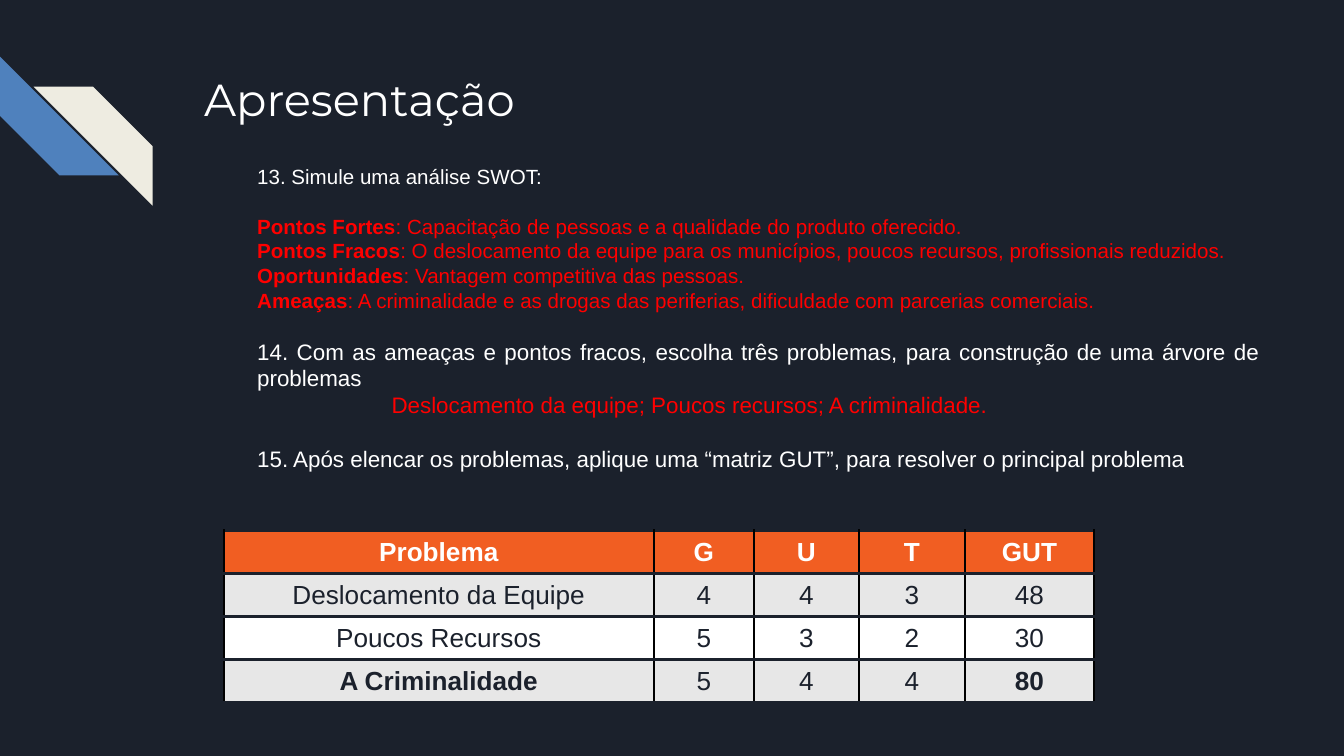
from dataclasses import dataclass

from pptx import Presentation
from pptx.dml.color import RGBColor
from pptx.enum.shapes import MSO_SHAPE
from pptx.enum.text import MSO_ANCHOR, PP_ALIGN
from pptx.oxml import parse_xml
from pptx.oxml.ns import nsdecls
from pptx.util import Inches, Pt


@dataclass(frozen=True)
class Theme:
    """Colours, fonts and type sizes."""
    dark: str = "1B212C"
    white: str = "FFFFFF"
    red: str = "FF0000"
    blue: str = "4F81BD"
    cream: str = "EEECE1"
    orange: str = "F15E22"
    grey: str = "E7E7E7"
    black: str = "000000"
    head: str = "Montserrat"
    body: str = "Arial"
    title: int = 24
    small: int = 11
    text: int = 12
    cell: int = 14


T = Theme()
WIDE = Inches(10)
HIGH = WIDE * 9 // 16
UNIT = WIDE / 100
JUST = PP_ALIGN.JUSTIFY


@dataclass(frozen=True)
class Box:
    """A place in grid columns and rows, each a hundredth of the slide width."""
    x: float
    y: float
    w: float
    h: float

    def lengths(self) -> list[int]:
        """Return left, top, width and height."""
        return [int(UNIT * v) for v in (self.x, self.y, self.w, self.h)]


@dataclass(frozen=True)
class Stripe:
    """A slanted band in the corner."""
    box: Box
    turn: int
    color: str


@dataclass(frozen=True)
class Line:
    """A body paragraph with an optional bold lead."""
    text: str
    lead: str = ""
    size: int = T.small
    color: str = T.white
    gap: float = 0
    left: float = 10
    align: PP_ALIGN = PP_ALIGN.LEFT


STRIPES = [
    Stripe(Box(0, 4.2, 8.85, 8.85), 270, T.blue),
    Stripe(Box(2.5, 6.45, 8.85, 8.85), 90, T.cream),
]
LINES = [
    Line("13. Simule uma análise SWOT:"),
    Line(": Capacitação de pessoas e a qualidade do produto oferecido.",
         "Pontos Fortes", color=T.red, gap=13.4),
    Line(": O deslocamento da equipe para os municípios, poucos recursos, "
         "profissionais reduzidos.", "Pontos Fracos", color=T.red),
    Line(": Vantagem competitiva das pessoas.", "Oportunidades", color=T.red),
    Line(": A criminalidade e as drogas das periferias, dificuldade com "
         "parcerias comerciais.", "Ameaças", color=T.red),
    Line("14. Com as ameaças e pontos fracos, escolha três problemas, para "
         "construção de uma árvore de problemas", size=T.text, gap=13.6, align=JUST),
    Line("Deslocamento da equipe; Poucos recursos; A criminalidade.",
         size=T.text, color=T.red, left=20, align=JUST),
    Line("15. Após elencar os problemas, aplique uma “matriz GUT”, para "
         "resolver o principal problema", size=T.text, gap=14.4, align=JUST),
]
COLS = [32, 7.45, 7.8, 7.9, 9.6]
ROWS = [
    ["Problema", "G", "U", "T", "GUT"],
    ["Deslocamento da Equipe", "4", "4", "3", "48"],
    ["Poucos Recursos", "5", "3", "2", "30"],
    ["A Criminalidade", "5", "4", "4", "80"],
]
FILLS = [T.orange, T.grey, T.white, T.grey]
BOLD = {"A Criminalidade", "80"}


def paint(fill, color: str) -> None:
    """Give a fill one solid colour."""
    fill.solid()
    fill.fore_color.rgb = RGBColor.from_string(color)


def write(par, text: str, *, size: float, color: str, font: str = T.body,
          bold: bool = False) -> None:
    """Add a formatted run to a paragraph."""
    run = par.add_run()
    run.text = text
    run.font.name, run.font.size, run.font.bold = font, Pt(size), bold
    run.font.color.rgb = RGBColor.from_string(color)


def frame(slide, box: Box):
    """Add a wrapping text box and return its text frame."""
    area = slide.shapes.add_textbox(*box.lengths()).text_frame
    area.word_wrap = True
    area.margin_left = area.margin_right = Inches(0.1)
    area.margin_top = area.margin_bottom = Inches(0.1)
    return area


def band(slide, item: Stripe) -> None:
    """Draw one slanted band."""
    shape = slide.shapes.add_shape(MSO_SHAPE.DIAGONAL_STRIPE, *item.box.lengths())
    shape.adjustments[0] = 0.5
    shape.rotation = item.turn
    shape.shadow.inherit = False
    shape.line.fill.background()
    paint(shape.fill, item.color)


def body(slide, box: Box, lines: list[Line]) -> None:
    """Write the indented paragraphs."""
    area = frame(slide, box)
    for i, line in enumerate(lines):
        par = area.add_paragraph() if i else area.paragraphs[0]
        par.alignment = line.align
        par.space_before = Pt(line.gap)
        props = par._p.get_or_add_pPr()
        props.set("marL", str(int(UNIT * line.left)))
        props.set("indent", "0")
        if line.lead:
            write(par, line.lead, size=line.size, color=line.color, bold=True)
        write(par, line.text, size=line.size, color=line.color)


def edge(cell) -> None:
    """Set the four borders of a cell."""
    props = cell._tc.get_or_add_tcPr()
    sides = [("L", 1.2, T.black), ("R", 1.2, T.black), ("T", 1.98, T.dark), ("B", 1.98, T.dark)]
    for i, (side, width, color) in enumerate(sides):
        props.insert(i, parse_xml(
            f'<a:ln{side} {nsdecls("a")} w="{int(Pt(width))}"><a:solidFill>'
            f'<a:srgbClr val="{color}"/></a:solidFill></a:ln{side}>'))


def grid(slide, box: Box) -> None:
    """Draw the GUT matrix."""
    table = slide.shapes.add_table(len(ROWS), len(COLS), *box.lengths()).table
    for col, width in zip(table.columns, COLS):
        col.width = int(UNIT * width)
    for r, row in enumerate(ROWS):
        for c, text in enumerate(row):
            cell = table.cell(r, c)
            cell.vertical_anchor = MSO_ANCHOR.MIDDLE
            cell.margin_top = cell.margin_bottom = Inches(0.04)
            paint(cell.fill, FILLS[r])
            edge(cell)
            par = cell.text_frame.paragraphs[0]
            par.alignment = PP_ALIGN.CENTER
            write(par, text, size=T.cell, color=T.dark if r else T.white,
                  bold=not r or text in BOLD)


def main() -> None:
    """Build and save the slide."""
    deck = Presentation()
    deck.slide_width, deck.slide_height = WIDE, HIGH
    slide = deck.slides.add_slide(deck.slide_layouts[6])
    paint(slide.background.fill, T.dark)
    for item in STRIPES:
        band(slide, item)
    title = frame(slide, Box(14.2, 4.35, 77, 10))
    write(title.paragraphs[0], "Apresentação", size=T.title, color=T.white, font=T.head)
    body(slide, Box(8.15, 11.2, 86.65, 41.6), LINES)
    grid(slide, Box(16.65, 39.5, sum(COLS), 12.8))
    deck.save("out.pptx")


if __name__ == "__main__":
    main()
